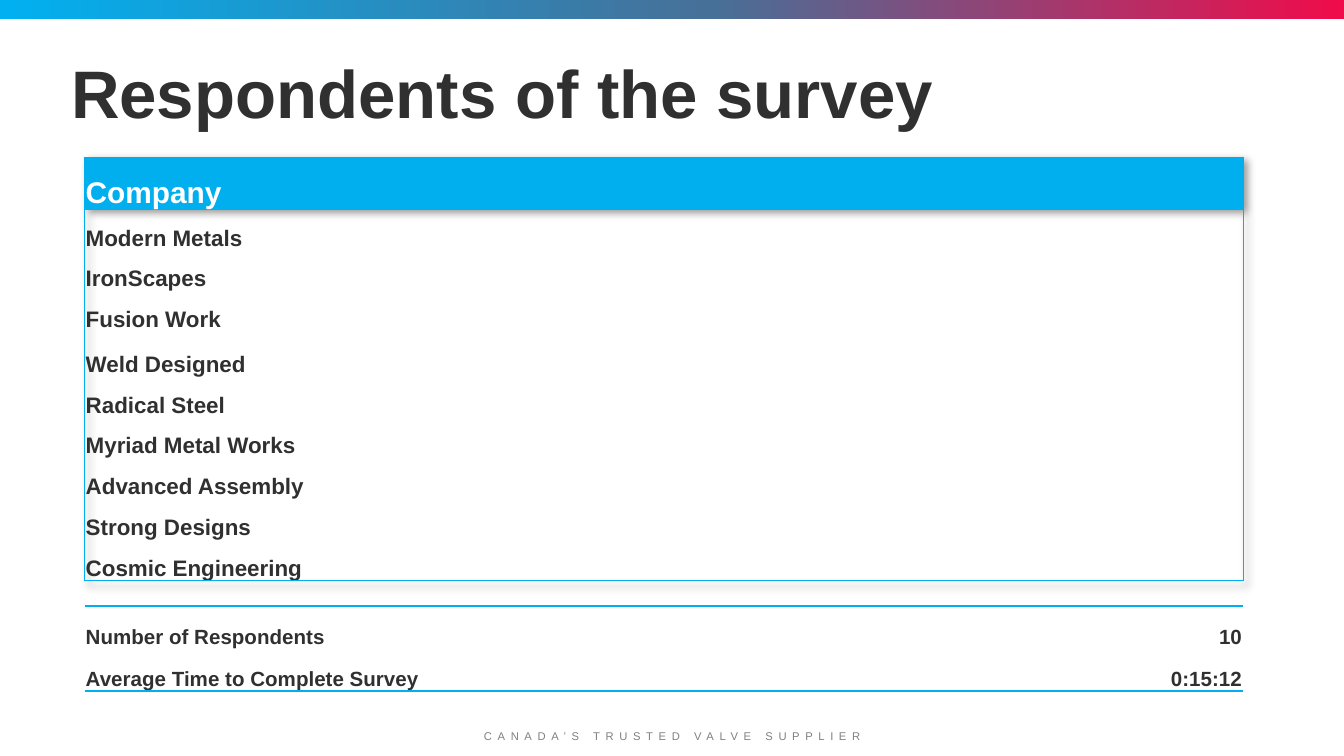
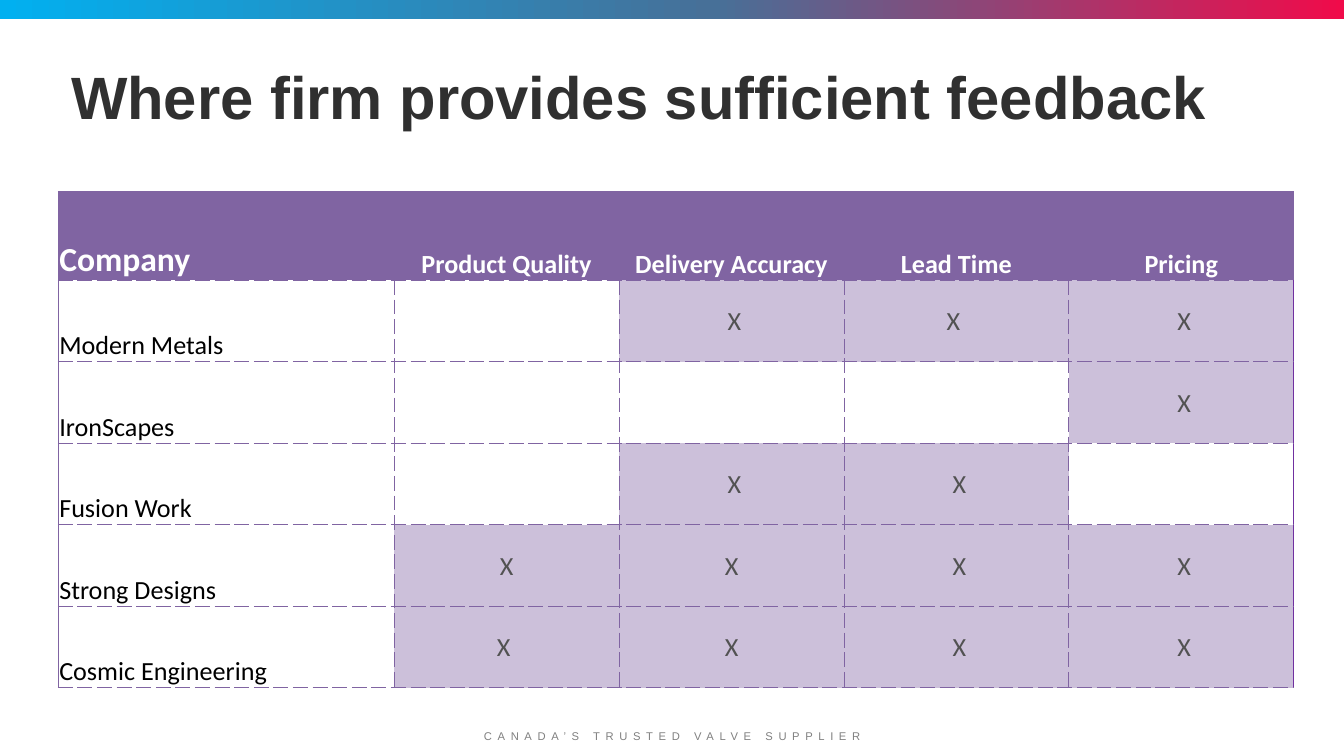
from copy import deepcopy

from lxml import etree
from pptx import Presentation
from pptx.dml.color import RGBColor
from pptx.enum.shapes import MSO_SHAPE
from pptx.enum.text import MSO_ANCHOR, MSO_AUTO_SIZE, PP_ALIGN
from pptx.oxml.ns import qn
from pptx.util import Cm, Pt

LEFT, CENTER, RIGHT = PP_ALIGN.LEFT, PP_ALIGN.CENTER, PP_ALIGN.RIGHT
BOTTOM, MIDDLE = MSO_ANCHOR.BOTTOM, MSO_ANCHOR.MIDDLE
RECTANGLE, NO_AUTOFIT = MSO_SHAPE.RECTANGLE, MSO_AUTO_SIZE.NONE

WHITE = RGBColor(0xFF, 0xFF, 0xFF)
BLACK = RGBColor(0x00, 0x00, 0x00)
INK = RGBColor(0x30, 0x30, 0x30)
GREY = RGBColor(0x80, 0x80, 0x80)
MARK = RGBColor(0x52, 0x52, 0x52)
BLUE = RGBColor(0x01, 0xAF, 0xEF)
PURPLE = RGBColor(0x80, 0x64, 0xA2)
VIOLET = RGBColor(0x70, 0x30, 0xA0)
LILAC = RGBColor(0xCC, 0xC0, 0xDA)
BAND_STOPS = [
    (0, RGBColor(0x01, 0xB0, 0xF0)),
    (0.53, RGBColor(0x47, 0x70, 0x98)),
    (1, RGBColor(0xF0, 0x0B, 0x4A)),
]

SLIDE_W, SLIDE_H = 25.4, 14.29
PLAIN_TABLE = "{2D5ABB26-0587-4C30-8999-92F81FD0307C}"
FOOTER = "CANADA’S TRUSTED VALVE SUPPLIER"

RESPONDENTS_TITLE = "Respondents of the survey"
COMPANIES = [
    "Company", "Modern Metals", "IronScapes", "Fusion Work", "Weld Designed",
    "Radical Steel", "Myriad Metal Works", "Advanced Assembly",
    "Strong Designs", "Cosmic Engineering",
]
SUMMARY = [
    ("Number of Respondents", "10"),
    ("Average Time to Complete Survey", "0:15:12"),
]

FEEDBACK_TITLE = "Where firm provides sufficient feedback"
FEEDBACK = [
    ("Company", "Product Quality", "Delivery Accuracy", "Lead Time", "Pricing"),
    ("Modern Metals", "", " X", "X ", " X"),
    ("IronScapes", "", "", "", " X"),
    ("Fusion Work", "", " X", " X", ""),
    ("Strong Designs", "X", "X", " X", " X"),
    ("Cosmic Engineering", "X ", "X", " X", " X"),
]


def write(tf, text, size, color, font="Arial", bold=False, align=LEFT):
    p = tf.paragraphs[0]
    p.alignment = align
    r = p.add_run()
    r.text = text
    r.font.name, r.font.size, r.font.bold = font, Pt(size), bold
    r.font.color.rgb = color
    return r


def dress_layout(layout, s):
    """Build the band and footer on s, then move them to its layout."""
    for ph in list(layout.placeholders):
        if ph.placeholder_format.idx:
            ph.element.getparent().remove(ph.element)

    footer = s.shapes.add_textbox(0, Cm(13.65), Cm(SLIDE_W), Cm(0.58))
    tf = footer.text_frame
    tf.word_wrap = True
    tf.vertical_anchor = BOTTOM
    tf.margin_bottom = Cm(0.2)
    r = write(tf, FOOTER, 6, GREY, align=CENTER)
    r.font._element.set("spc", "300")

    band = s.shapes.add_shape(RECTANGLE, 0, 0, Cm(SLIDE_W), Cm(0.36))
    band.shadow.inherit = False
    band.line.fill.background()
    band.fill.gradient()
    band.fill.gradient_angle = 0
    stops = band.element.find(".//" + qn("a:gsLst"))
    stops.insert(1, deepcopy(stops[0]))
    for stop, (position, color) in zip(band.fill.gradient_stops, BAND_STOPS):
        stop.position = position
        stop.color.rgb = color

    for shape in (footer, band):
        layout.shapes.element.append(shape.element)


def add_title(s, text, size, width):
    title = s.shapes.title
    title.left, title.top = Cm(1.09), Cm(0.76)
    title.width, title.height = Cm(width), Cm(1.88)
    tf = title.text_frame
    tf.word_wrap = True
    tf.auto_size = NO_AUTOFIT
    tf.vertical_anchor = BOTTOM
    write(tf, text, size, INK, bold=True)
    tf.paragraphs[0].line_spacing = 0.9


def add_plain_table(s, left, top, widths, heights):
    frame = s.shapes.add_table(len(heights), len(widths), Cm(left), Cm(top),
                               Cm(sum(widths)), Cm(sum(heights)))
    table = frame.table
    table.first_row = table.horz_banding = False
    table._tbl.tblPr.find(qn("a:tableStyleId")).text = PLAIN_TABLE
    for column, width in zip(table.columns, widths):
        column.width = Cm(width)
    for row, height in zip(table.rows, heights):
        row.height = Cm(height)
    return table


def style_cell(cell, borders, fill=None, anchor=BOTTOM):
    """Borders map a side (L, R, T, B) to (colour, points, dash)."""
    cell.margin_left = cell.margin_right = cell.margin_top = Cm(0.02)
    cell.margin_bottom = 0
    cell.vertical_anchor = anchor
    tcPr = cell._tc.get_or_add_tcPr()
    for side in "LRTB":
        if side in borders:
            color, points, dash = borders[side]
            ln = etree.SubElement(tcPr, qn("a:ln" + side), w=str(Pt(points)))
            solid = etree.SubElement(ln, qn("a:solidFill"))
            etree.SubElement(solid, qn("a:srgbClr"), val=str(color))
            etree.SubElement(ln, qn("a:prstDash"), val=dash)
    if fill is None:
        cell.fill.background()
    else:
        cell.fill.solid()
        cell.fill.fore_color.rgb = fill


def add_table_shadow(table):
    effects = etree.Element(qn("a:effectLst"))
    shadow = etree.SubElement(effects, qn("a:outerShdw"), blurRad="50800",
                              dist="38100", dir="2700000", algn="tl")
    color = etree.SubElement(shadow, qn("a:prstClr"), val="black")
    etree.SubElement(color, qn("a:alpha"), val="40000")
    table._tbl.tblPr.insert(0, effects)


def add_companies(s):
    heights = [1.0] + [0.77] * 9
    heights[4] = 0.85
    table = add_plain_table(s, 1.6, 2.97, [21.89], heights)
    add_table_shadow(table)
    edge = (BLUE, 0.5, "solid")
    for i, name in enumerate(COMPANIES):
        head = i == 0
        borders = {"L": edge, "R": edge}
        if head:
            borders["T"] = edge
        if i == len(COMPANIES) - 1:
            borders["B"] = edge
        cell = table.cell(i, 0)
        style_cell(cell, borders, BLUE if head else None)
        write(cell.text_frame, name, 16 if head else 12,
              WHITE if head else INK, bold=True)


def add_summary(s):
    table = add_plain_table(s, 1.6, 11.46, [18.36, 3.53], [0.8, 0.8])
    for i, row in enumerate(SUMMARY):
        for j, text in enumerate(row):
            cell = table.cell(i, j)
            style_cell(cell, {"B" if i else "T": (BLUE, 1, "solid")})
            write(cell.text_frame, text, 11, INK, bold=True,
                  align=RIGHT if j else LEFT)


def add_feedback(s):
    table = add_plain_table(s, 1.1, 3.62, [6.35] + [4.25] * 4,
                            [1.68] + [1.54] * 5)
    solid, dash = (PURPLE, 0.5, "solid"), (PURPLE, 0.5, "dash")
    last = len(FEEDBACK[0]) - 1
    for i, row in enumerate(FEEDBACK):
        for j, text in enumerate(row):
            borders = dict.fromkeys("LRTB", dash)
            anchor, color, fill = BOTTOM, BLACK, None
            if i == 0:
                borders.update(L=solid, R=solid, T=solid)
                color, fill = WHITE, PURPLE
            elif j == 0:
                borders["L"] = solid
            else:
                anchor, color = MIDDLE, MARK
                fill = LILAC if text else None
                if j == last:
                    borders["R"] = (VIOLET, 0.5, "solid")
            cell = table.cell(i, j)
            style_cell(cell, borders, fill, anchor)
            if text:
                write(cell.text_frame, text, 18 if i == j == 0 else 14, color,
                      "Calibri", i == 0, CENTER if j else LEFT)


def main():
    prs = Presentation()
    prs.slide_width, prs.slide_height = Cm(SLIDE_W), Cm(SLIDE_H)
    layout = prs.slide_layouts[5]

    s = prs.slides.add_slide(layout)
    dress_layout(layout, s)
    add_title(s, RESPONDENTS_TITLE, 36, 22.99)
    add_companies(s)
    add_summary(s)

    s = prs.slides.add_slide(layout)
    add_title(s, FEEDBACK_TITLE, 32, 23.34)
    add_feedback(s)

    prs.save("out.pptx")


if __name__ == "__main__":
    main()
